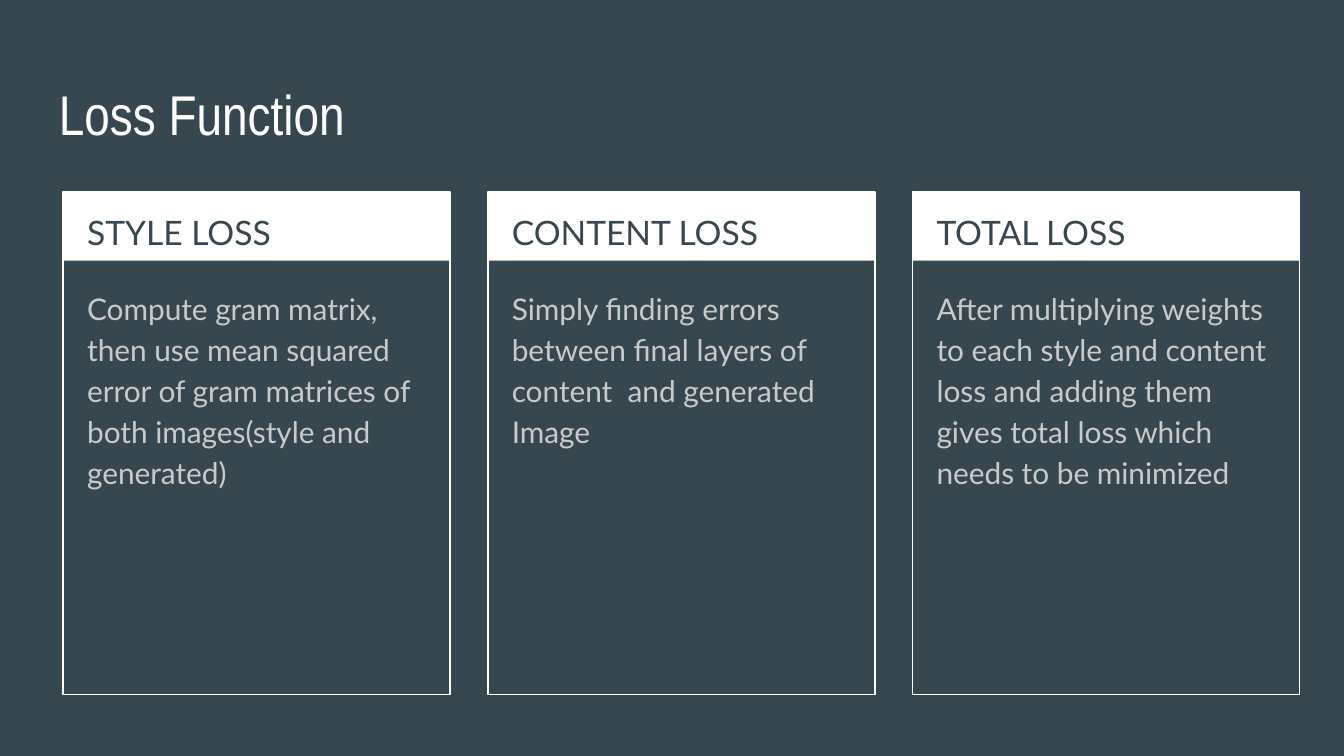
from dataclasses import dataclass

from pptx import Presentation
from pptx.dml.color import RGBColor
from pptx.enum.shapes import MSO_SHAPE as Preset
from pptx.enum.text import MSO_ANCHOR as Anchor
from pptx.util import Inches, Pt


@dataclass(frozen=True)
class Theme:
    background: RGBColor = RGBColor.from_string("37474F")
    white: RGBColor = RGBColor.from_string("FFFFFF")
    body_color: RGBColor = RGBColor.from_string("CACACA")
    title_font: str = "Arial Narrow"
    body_font: str = "Lato"
    title_size: int = 30
    heading_size: int = 18
    body_size: int = 16


theme = Theme()

# Slide, 16:9
presentation = Presentation()
presentation.slide_width = Inches(10)
presentation.slide_height = Inches(10 * 9 / 16)
slide = presentation.slides.add_slide(presentation.slide_layouts[6])
slide.background.fill.solid()
slide.background.fill.fore_color.rgb = theme.background


def add_text(box, text, font, size, color, line_spacing=1.0, space_after=0):
    frame = slide.shapes.add_textbox(*map(Inches, box)).text_frame
    frame.word_wrap = True
    frame.vertical_anchor = Anchor.TOP
    frame.margin_left = frame.margin_right = Inches(0.1)
    frame.margin_top = frame.margin_bottom = Inches(0.1)
    paragraph = frame.paragraphs[0]
    paragraph.line_spacing = line_spacing
    paragraph.space_after = Pt(space_after)
    run = paragraph.add_run()
    run.text = text
    run.font.name = font
    run.font.size = Pt(size)
    run.font.color.rgb = color


def add_rectangle(left, top, width, height):
    shape = slide.shapes.add_shape(
        Preset.RECTANGLE, Inches(left), Inches(top), Inches(width), Inches(height))
    shape.shadow.inherit = False
    return shape


# Title
add_text((0.34, 0.49, 9.32, 0.63), "Loss Function",
         theme.title_font, theme.title_size, theme.white)

# Loss cards, evenly spaced
cards = [
    ("STYLE LOSS", "Compute gram matrix, then use mean squared error of gram "
                   "matrices of both images(style and generated)"),
    ("CONTENT LOSS", "Simply finding errors between final layers of "
                     "content  and generated Image"),
    ("TOTAL LOSS", "After multiplying weights to each style and content loss "
                   "and adding them gives total loss which needs to be minimized"),
]
first_left, card_top, card_width, card_pitch = 0.47, 1.43, 2.88, 3.16

for index, (heading, description) in enumerate(cards):
    left = first_left + index * card_pitch

    # Header band
    band = add_rectangle(left, card_top, card_width, 0.51)
    band.fill.solid()
    band.fill.fore_color.rgb = theme.white
    band.line.fill.background()

    # Card outline
    outline = add_rectangle(left, card_top, card_width, 3.74)
    outline.fill.background()
    outline.line.color.rgb = theme.white
    outline.line.width = Pt(0.75)

    # Heading and description
    add_text((left + 0.08, card_top, 2.73, 0.5), heading,
             theme.body_font, theme.heading_size, theme.background, 1.15)
    add_text((left + 0.08, 2.02, 2.71, 3.06), description,
             theme.body_font, theme.body_size, theme.body_color, 1.15, 16)

presentation.save("out.pptx")
